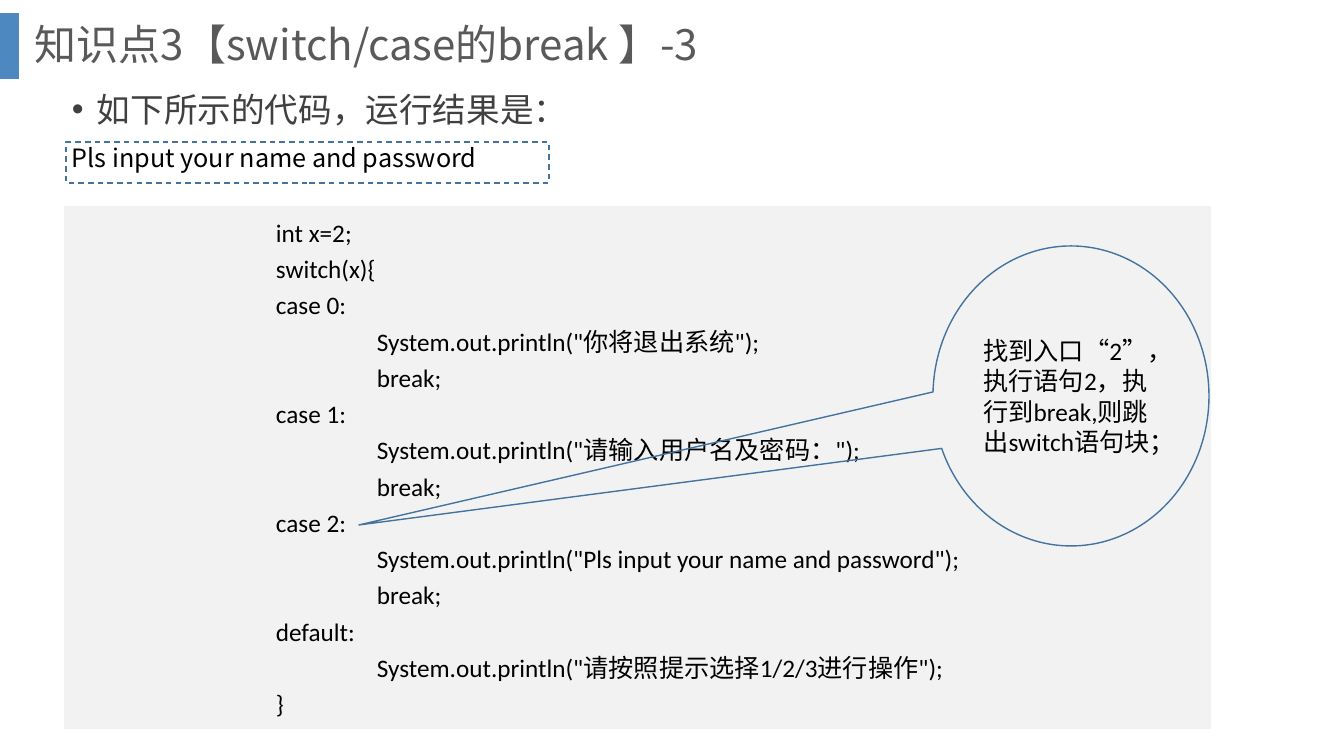
from dataclasses import dataclass

from lxml import etree
from pptx import Presentation
from pptx import util as u
from pptx.dml.color import RGBColor
from pptx.enum import dml, shapes, text
from pptx.oxml.ns import qn

EMU_PER_PX = 914400 / 100.8
TAB_PX = 101
CJK_FONT = "Noto Sans CJK SC"


@dataclass
class Box:
    left: int
    top: int
    width: int
    height: int
    kind: shapes.MSO_SHAPE = shapes.MSO_SHAPE.RECTANGLE
    fill: str = ""
    line: str = ""


@dataclass
class Line:
    words: str
    tabs: int = 0


def px(length: int) -> int:
    return round(length * EMU_PER_PX)


def color(hex_code: str) -> RGBColor:
    return RGBColor.from_string(hex_code)


def place(box: Box) -> tuple:
    return px(box.left), px(box.top), px(box.width), px(box.height)


def draw_shape(slide, box: Box):
    shape = slide.shapes.add_shape(box.kind, *place(box))
    shape.shadow.inherit = False
    if box.fill:
        shape.fill.solid()
        shape.fill.fore_color.rgb = color(box.fill)
    else:
        shape.fill.background()
    if box.line:
        shape.line.color.rgb = color(box.line)
        shape.line.width = u.Pt(1)
    else:
        shape.line.fill.background()
    return shape


def draw_textbox(slide, box: Box):
    return slide.shapes.add_textbox(*place(box))


def write(shape, words: str, *, size: int = 18, font: str = "Calibri", ink: str = "000000",
          spacing: float = 1.0, before: int = 0, margin: int = 0, hanging: int = 0,
          bullet: str = "", anchor=text.MSO_ANCHOR.TOP) -> None:
    """Add one paragraph, using the first one while it is still empty."""
    frame = shape.text_frame
    frame.word_wrap = True
    frame.vertical_anchor = anchor
    paragraph = frame.add_paragraph() if frame.text else frame.paragraphs[0]
    paragraph.alignment = text.PP_ALIGN.LEFT
    paragraph.line_spacing = spacing
    paragraph.space_before = u.Pt(before)
    run = paragraph.add_run()
    run.text = words
    run.font.size = u.Pt(size)
    run.font.name = font
    run.font.color.rgb = color(ink)
    east_asian = etree.SubElement(run.font._element, qn("a:ea"))
    east_asian.set("typeface", CJK_FONT)
    properties = paragraph._p.get_or_add_pPr()
    properties.set("marL", str(px(margin)))
    properties.set("indent", str(-px(hanging)))
    if bullet:
        etree.SubElement(properties, qn("a:buFont")).set("typeface", "Arial")
        etree.SubElement(properties, qn("a:buChar")).set("char", bullet)


CODE = [
    Line("int x=2;", 2),
    Line("switch(x){", 2),
    Line("case 0:", 2),
    Line('System.out.println("你将退出系统");', 3),
    Line("break;", 3),
    Line("case 1:", 2),
    Line('System.out.println("请输入用户名及密码：");', 3),
    Line("break;", 3),
    Line("case 2:", 2),
    Line('System.out.println("Pls input your name and password");', 3),
    Line("break;", 3),
    Line("default:", 2),
    Line('System.out.println("请按照提示选择1/2/3进行操作");', 3),
    Line("}", 2),
]


def main() -> None:
    deck = Presentation()
    deck.slide_width, deck.slide_height = px(1344), px(756)
    slide = deck.slides.add_slide(deck.slide_layouts[6])

    # Accent bar beside the title
    accent = draw_shape(slide, Box(0, 13, 19, 66, fill="2E75B6"))
    accent_color = accent.fill._xPr.find(qn("a:solidFill"))[0]
    etree.SubElement(accent_color, qn("a:alpha")).set("val", "85000")

    # Question and program output
    question = draw_textbox(slide, Box(62, 84, 1215, 53))
    write(question, "如下所示的代码，运行结果是：", size=24, font=CJK_FONT, ink="404040",
          margin=25, hanging=25, bullet="•")
    write(question, "Pls input your name and password", font=CJK_FONT,
          before=9, margin=25, hanging=25)

    # Title
    title = draw_textbox(slide, Box(25, 0, 1276, 94))
    write(title, "知识点3【switch/case的break 】-3", size=30, font=CJK_FONT, ink="595959",
          spacing=0.9, anchor=text.MSO_ANCHOR.MIDDLE)

    # Code listing
    listing = draw_shape(slide, Box(64, 206, 1147, 523, fill="F2F2F2"))
    for line in CODE:
        write(listing, line.words, spacing=1.2, margin=line.tabs * TAB_PX)

    # Explanation pointing at case 2
    explanation = draw_shape(slide, Box(933, 246, 276, 300, line="43739E",
                                        kind=shapes.MSO_SHAPE.OVAL_CALLOUT))
    explanation.adjustments[0] = -2.58
    explanation.adjustments[1] = 0.43
    write(explanation, "找到入口“2”，执行语句2，执行到break,则跳出switch语句块；",
          anchor=text.MSO_ANCHOR.MIDDLE)

    # Dashed frame around the output
    output_frame = draw_shape(slide, Box(66, 142, 483, 41, line="43739E"))
    output_frame.line.dash_style = dml.MSO_LINE.DASH

    deck.save("out.pptx")


if __name__ == "__main__":
    main()
